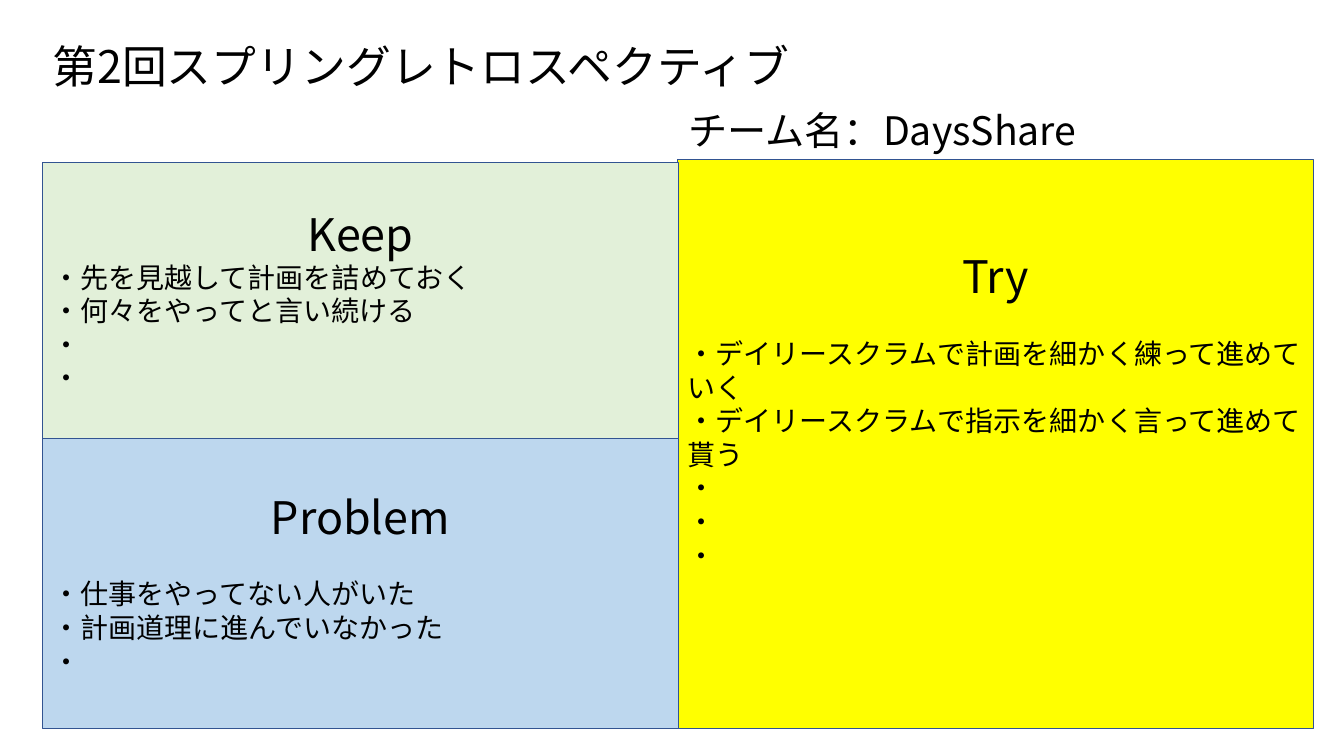
from lxml.etree import SubElement
from pptx import Presentation
from pptx.dml.color import RGBColor
from pptx.enum.shapes import MSO_SHAPE as Shape
from pptx.enum.text import MSO_ANCHOR as Anchor, PP_ALIGN as Align
from pptx.oxml.ns import qn
from pptx.util import Inches, Pt


def color(hex_string):
    return RGBColor.from_string(hex_string)


class RetrospectiveSlide:
    """Holds the style and the current slide, and adds its elements."""

    font = "Noto Sans CJK JP"
    ink = "000000"
    border = "325491"
    heading_size = 32
    item_size = 20
    item_line = 24

    def __init__(self, presentation):
        self.slide = presentation.slides.add_slide(presentation.slide_layouts[5])

    def add_text(self, paragraph, text, size, align=Align.LEFT):
        paragraph.alignment = align
        run = paragraph.add_run()
        run.text = text
        run.font.size = Pt(size)
        run.font.color.rgb = color(self.ink)
        run.font.name = self.font
        properties = run._r.get_or_add_rPr()
        SubElement(properties, qn("a:ea"), typeface=self.font)

    def title(self, text, left, top, width, height):
        shape = self.slide.shapes.title
        shape.left, shape.top = Inches(left), Inches(top)
        shape.width, shape.height = Inches(width), Inches(height)
        shape.text_frame.vertical_anchor = Anchor.MIDDLE
        paragraph = shape.text_frame.paragraphs[0]
        paragraph.line_spacing = 0.9
        self.add_text(paragraph, text, self.heading_size)

    def label(self, text, size, *box):
        shape = self.slide.shapes.add_textbox(*map(Inches, box))
        shape.text_frame.word_wrap = True
        self.add_text(shape.text_frame.paragraphs[0], text, size)

    def panel(self, heading, items, fill, *box, gap_lines=1, bottom_lines=0):
        shape = self.slide.shapes.add_shape(Shape.RECTANGLE, *map(Inches, box))
        shape.shadow.inherit = False
        shape.fill.solid()
        shape.fill.fore_color.rgb = color(fill)
        shape.line.color.rgb = color(self.border)
        shape.line.width = Pt(1)
        frame = shape.text_frame
        frame.word_wrap = True
        frame.vertical_anchor = Anchor.MIDDLE
        frame.margin_bottom = Inches(0.05) + Pt(self.item_line * bottom_lines)
        paragraph = frame.paragraphs[0]
        paragraph.space_after = Pt(self.item_line * gap_lines)
        self.add_text(paragraph, heading, self.heading_size, Align.CENTER)
        for item in items:
            self.add_text(frame.add_paragraph(), "・" + item, self.item_size)


def main():
    presentation = Presentation()
    presentation.slide_width = Inches(13.33)
    presentation.slide_height = Inches(7.5)

    left, width = 0.42, 6.31
    keep_top, problem_top, bottom = 1.61, 4.35, 7.23
    try_left, try_top = 6.72, 1.58

    retrospective = RetrospectiveSlide(presentation)
    retrospective.title("第2回スプリングレトロスペクティブ", left, 0.27, 12.48, 0.82)
    retrospective.panel(
        "Try",
        ["デイリースクラムで計画を細かく練って進めていく",
         "デイリースクラムで指示を細かく言って進めて貰う", "", "", ""],
        "FFFF00", try_left, try_top, width, bottom - try_top, bottom_lines=2)
    retrospective.panel(
        "Keep",
        ["先を見越して計画を詰めておく", "何々をやってと言い続ける", "", ""],
        "E2F0D9", left, keep_top, width, problem_top - keep_top, gap_lines=0)
    retrospective.panel(
        "Problem",
        ["仕事をやってない人がいた", "計画道理に進んでいなかった", ""],
        "BDD7EE", left, problem_top, width, bottom - problem_top)
    retrospective.label("チーム名：DaysShare", 28, 6.73, 1.01, 6.29, 0.57)
    presentation.save("out.pptx")


if __name__ == "__main__":
    main()
